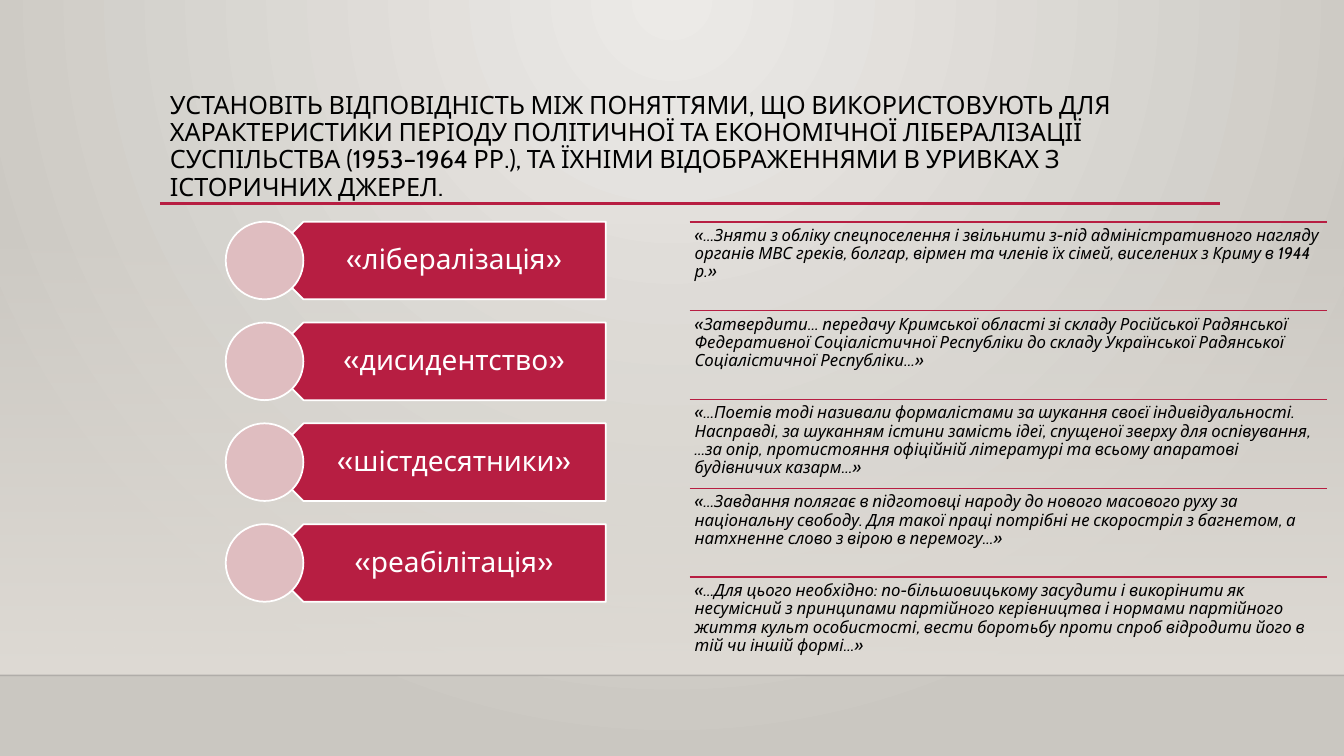
from lxml.etree import SubElement
from pptx import Presentation
from pptx.dml.color import RGBColor
from pptx.enum.shapes import MSO_CONNECTOR as LINK, MSO_SHAPE as FORM
from pptx.enum.text import MSO_ANCHOR as ANCHOR, PP_ALIGN as ALIGN
from pptx.oxml import parse_xml
from pptx.oxml.ns import nsdecls, qn
from pptx.util import Inches, Pt

WIDE, HIGH = Inches(13.33), Inches(7.5)
FONT = "Cabin"
RED = RGBColor(0xB7, 0x1E, 0x42)
PINK = RGBColor(0xDF, 0xBD, 0xC0)
WHITE = RGBColor(0xFF, 0xFF, 0xFF)
BLACK = RGBColor(0x00, 0x00, 0x00)
INK = RGBColor(0x00, 0x00, 0x01)
PEARL = RGBColor(0xEC, 0xEA, 0xE7)
STONE = RGBColor(0xCA, 0xC7, 0xC1)
SAND = RGBColor(0xDF, 0xDB, 0xD5)

TITLE = (
    "УСТАНОВІТЬ ВІДПОВІДНІСТЬ МІЖ ПОНЯТТЯМИ, ЩО ВИКОРИСТОВУЮТЬ ДЛЯ "
    "ХАРАКТЕРИСТИКИ ПЕРІОДУ ПОЛІТИЧНОЇ ТА ЕКОНОМІЧНОЇ ЛІБЕРАЛІЗАЦІЇ "
    "СУСПІЛЬСТВА (1953–1964 РР.), ТА ЇХНІМИ ВІДОБРАЖЕННЯМИ В УРИВКАХ З "
    "ІСТОРИЧНИХ ДЖЕРЕЛ."
)
TERMS = ["«лібералізація»", "«дисидентство»", "«шістдесятники»", "«реабілітація»"]
QUOTES = [
    "«…Зняти з обліку спецпоселення і звільнити з-під адміністративного нагляду "
    "органів МВС греків, болгар, вірмен та членів їх сімей, виселених з Криму в 1944 р.»",
    "«Затвердити… передачу Кримської області зі складу Російської Радянської "
    "Федеративної Соціалістичної Республіки до складу Української Радянської "
    "Соціалістичної Республіки…»",
    "«…Поетів тоді називали формалістами за шукання своєї індивідуальності. "
    "Насправді, за шуканням істини замість ідеї, спущеної зверху для оспівування, "
    "…за опір, протистояння офіційній літературі та всьому апаратові "
    "будівничих казарм…»",
    "«…Завдання полягає в підготовці народу до нового масового руху за "
    "національну свободу. Для такої праці потрібні не скоростріл з багнетом, а "
    "натхненне слово з вірою в перемогу…»",
    "«…Для цього необхідно: по-більшовицькому засудити і викорінити як "
    "несумісний з принципами партійного керівництва і нормами партійного "
    "життя культ особистості, вести боротьбу проти спроб відродити його в "
    "тій чи іншій формі…»",
]


def share(x, y, w, h):
    """Turn percentages of the slide into a box of lengths."""
    return tuple(int(part * side / 100) for part, side in
                 zip((x, y, w, h), (WIDE, HIGH, WIDE, HIGH)))


def blend(fill, root, first, last, alpha, course):
    """Fill with a two-colour gradient along the given course."""
    fill.gradient()
    old = next(root.iter(qn("a:gradFill")))
    new = parse_xml(
        f'<a:gradFill {nsdecls("a")} rotWithShape="1"><a:gsLst>'
        f'<a:gs pos="0"><a:srgbClr val="{first}"><a:alpha val="{alpha}"/></a:srgbClr></a:gs>'
        f'<a:gs pos="100000"><a:srgbClr val="{last}"/></a:gs>'
        f'</a:gsLst>{course}</a:gradFill>')
    old.getparent().replace(old, new)


def rule(shapes, x, y, w, color=RED, size=1.25):
    """Draw a horizontal line without a shadow."""
    line = shapes.add_connector(LINK.STRAIGHT, x, y, x + w, y)
    line.line.color.rgb = color
    line.line.width = Pt(size)
    SubElement(line._element.spPr, qn("a:effectLst"))
    return line


def write(shapes, box, text, size=12, color=BLACK, italic=False,
          align=ALIGN.LEFT, anchor=ANCHOR.TOP, inset=(0.05, 0.05, 0.05, 0.05)):
    """Place wrapped text in a box."""
    frame = shapes.add_textbox(*box).text_frame
    frame.word_wrap = True
    frame.vertical_anchor = anchor
    (frame.margin_left, frame.margin_top,
     frame.margin_right, frame.margin_bottom) = map(Inches, inset)
    para = frame.paragraphs[0]
    para.alignment = align
    para.line_spacing = 0.9
    run = para.add_run()
    run.text = text
    font = run.font
    font.name, font.size, font.italic = FONT, Pt(size), italic
    font.color.rgb = color


def form(shapes, kind, box, color):
    """Draw a filled shape with a white outline."""
    shape = shapes.add_shape(kind, *box)
    shape.shadow.inherit = False
    shape.fill.solid()
    shape.fill.fore_color.rgb = color
    shape.line.color.rgb = WHITE
    shape.line.width = Pt(1.25)
    return shape


def stage(slide, box):
    """Paint the backdrop and the floor wash with its horizon."""
    blend(slide.background.fill, slide.element, PEARL, STONE, 100000,
          '<a:path path="circle"><a:fillToRect l="43000" r="43000" b="100000"/></a:path>')
    x, y, w, h = box
    wash = slide.shapes.add_shape(FORM.RECTANGLE, *box)
    wash.shadow.inherit = False
    wash.line.fill.background()
    blend(wash.fill, wash._element, SAND, SAND, 0, '<a:lin ang="5400000" scaled="0"/>')
    edge = rule(slide.shapes, x, y + h, w, INK, 1)
    tint = next(edge._element.iter(qn("a:srgbClr")))
    SubElement(tint, qn("a:alpha")).set("val", "20000")


def head(slide, box):
    """Place the title over its red line."""
    x, y, w, h = box
    rule(slide.shapes, x, y + int(h * 0.98), w, size=2.5)
    write(slide.shapes, box, TITLE, size=18, anchor=ANCHOR.MIDDLE,
          inset=(0.1, 0.05, 0.1, 0.05))


def terms(slide, box):
    """Stack the term arrows, each with a disc at its tip."""
    x, y, w, h = box
    step = h / (len(TERMS) - 1 + 0.77)
    size = int(step * 0.77)
    half = size // 2
    shapes = slide.shapes.add_group_shape().shapes
    for i, term in enumerate(TERMS):
        top = y + int(i * step)
        arrow = form(shapes, FORM.PENTAGON, (x + half, top, w - half, size), RED)
        arrow.rotation = 180
        left = int(size * 0.75)
        write(shapes, (x + left, top, w - left, size), term, size=20, color=WHITE,
              align=ALIGN.CENTER, anchor=ANCHOR.MIDDLE, inset=(0.34, 0.08, 0.16, 0.08))
        form(shapes, FORM.OVAL, (x, top, size, size), PINK)


def quotes(slide, box):
    """Stack the excerpts in equal rows under thin lines."""
    x, y, w, h = box
    step = h // len(QUOTES)
    shapes = slide.shapes.add_group_shape().shapes
    for i, quote in enumerate(QUOTES):
        top = y + i * step
        rule(shapes, x, top, w)
        write(shapes, (x, top, w, step), quote, italic=True)


def main():
    """Build the slide and save it."""
    deck = Presentation()
    deck.slide_width, deck.slide_height = WIDE, HIGH
    slide = deck.slides.add_slide(deck.slide_layouts[6])
    stage(slide, share(0, 29.47, 100, 59.87))
    head(slide, share(11.9, 11.73, 78.85, 15.47))
    terms(slide, share(16.8, 29.33, 28.28, 50.27))
    quotes(slide, share(51.31, 29.33, 47.41, 58.8))
    deck.save("out.pptx")


if __name__ == "__main__":
    main()
